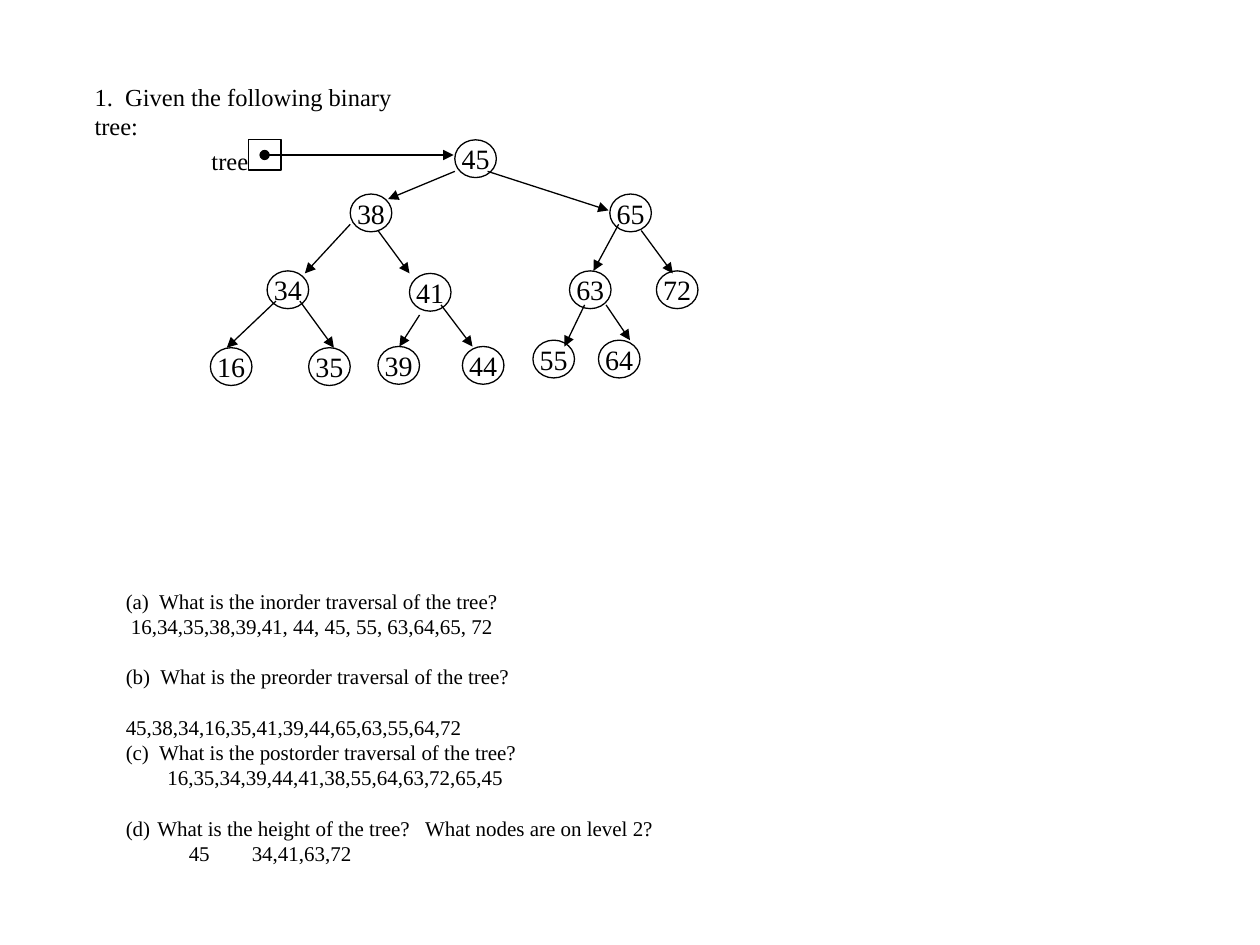
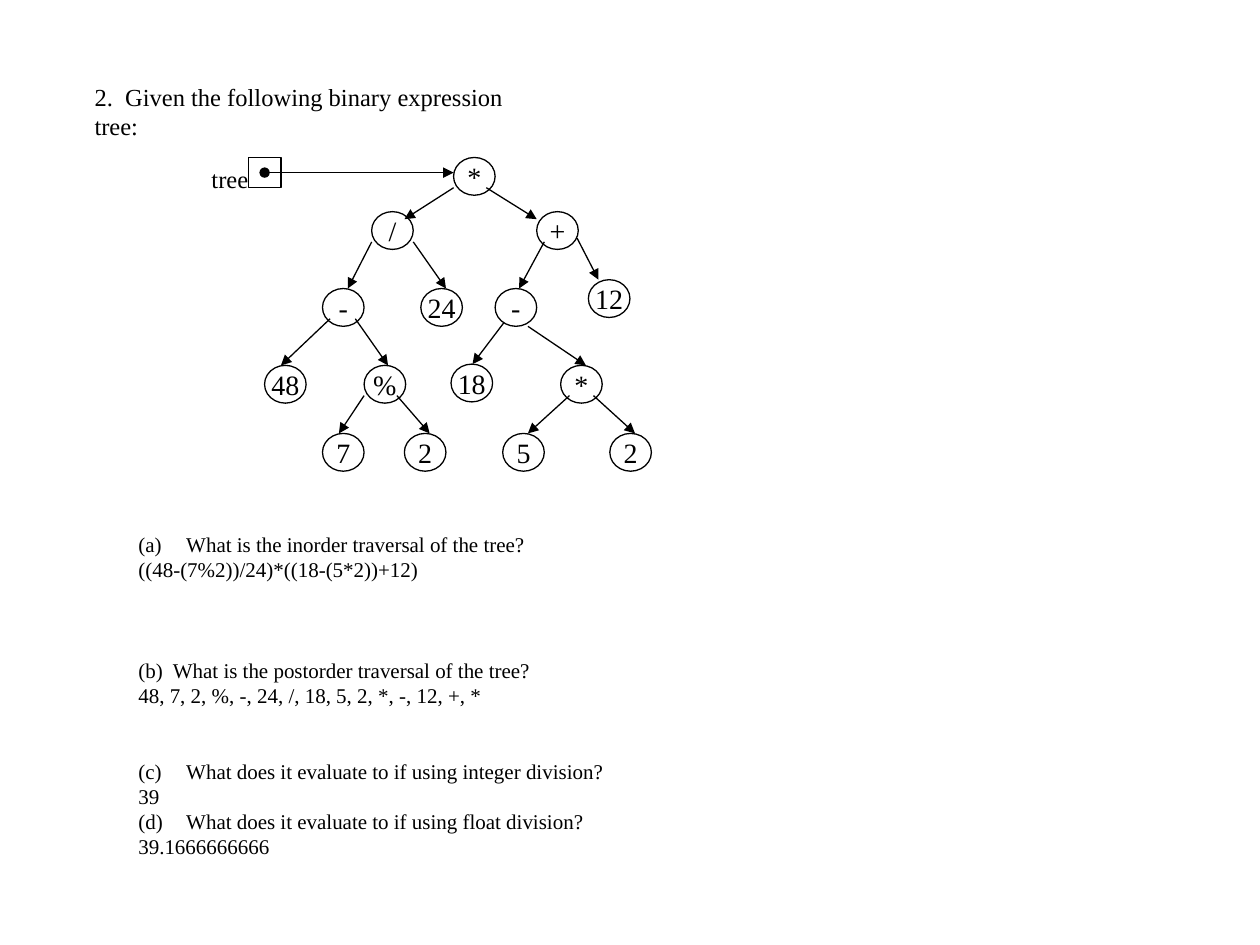
"""Build two exercise slides about traversing binary trees."""
from lxml import etree
from pptx import Presentation
from pptx import util as u
from pptx.dml import color
from pptx.enum import shapes, text
from pptx.oxml import ns

COLORS = {"ink": "000000", "paper": "FFFFFF"}
FONT = "Times New Roman"
LINE_FACTOR = 1.2
NODE_WIDTH, NODE_HEIGHT = 0.33, 0.3


def write(paragraph, content, size=12, align=text.PP_ALIGN.LEFT, gap=0, left=0, hanging=0,
          start=None, tabs=()):
    run = paragraph.add_run()
    run.text = content
    run.font.name = FONT
    run.font.size = u.Pt(size)
    run.font.color.rgb = color.RGBColor.from_string(COLORS["ink"])
    paragraph.alignment = align
    paragraph.line_spacing = u.Pt(size * LINE_FACTOR)
    paragraph.space_before = u.Pt(gap * size * LINE_FACTOR)
    properties = paragraph._p.get_or_add_pPr()
    properties.set("marL", str(u.Inches(left + hanging)))
    properties.set("indent", str(u.Inches(-hanging)))
    if start:
        bullet = etree.SubElement(properties, ns.qn("a:buAutoNum"), type="alphaLcParenBoth")
        if start > 1:
            bullet.set("startAt", str(start))
    if tabs:
        stops = etree.SubElement(properties, ns.qn("a:tabLst"))
        for position in tabs:
            etree.SubElement(stops, ns.qn("a:tab"), pos=str(u.Inches(position)), algn="l")


def add_arrow(group, start, end, head=None):
    arrow = group.shapes.add_connector(
        shapes.MSO_CONNECTOR.STRAIGHT, *[u.Inches(value) for value in (*start, *end)])
    arrow.line.color.rgb = color.RGBColor.from_string(COLORS["ink"])
    arrow.line.width = u.Pt(0.75)
    line = arrow.line._get_or_add_ln()
    if head:
        etree.SubElement(line, ns.qn("a:headEnd"), type=head)
    etree.SubElement(line, ns.qn("a:tailEnd"), type="triangle")
    etree.SubElement(arrow._element.spPr, ns.qn("a:effectLst"))


exercises = [
    {
        "title": "1.  Given the following binary tree:",
        "title_width": 2.85,
        "tree_top": 1.11,
        "nodes": [
            ("45", 3.61, 1.11), ("38", 2.78, 1.54), ("65", 4.84, 1.54),
            ("34", 2.12, 2.15), ("41", 3.25, 2.17), ("63", 4.52, 2.15), ("72", 5.21, 2.15),
            ("16", 1.67, 2.76), ("35", 2.45, 2.76), ("39", 3, 2.75), ("44", 3.67, 2.75),
            ("55", 4.23, 2.7), ("64", 4.75, 2.7),
        ],
        "edges": [
            ((3.61, 1.36), (3.08, 1.58)), ((3.87, 1.36), (4.83, 1.67)),
            ((2.78, 1.78), (2.42, 2.17)), ((3, 1.83), (3.25, 2.17)),
            ((4.91, 1.78), (4.71, 2.15)), ((5.09, 1.83), (5.34, 2.17)),
            ((2.19, 2.39), (1.8, 2.76)), ((2.38, 2.39), (2.65, 2.76)),
            ((3.33, 2.5), (3.17, 2.75)), ((3.5, 2.42), (3.75, 2.75)),
            ((4.64, 2.42), (4.48, 2.75)), ((4.81, 2.42), (5, 2.7)),
        ],
        "questions_box": (0.9, 4.62, 4.6, 2.32),
        "questions": [
            ("(a)  What is the inorder traversal of the tree?", {}),
            ("16,34,35,38,39,41, 44, 45, 55, 63,64,65, 72", {"left": 0.04}),
            ("(b)  What is the preorder traversal of the tree?", {"gap": 1}),
            ("45,38,34,16,35,41,39,44,65,63,55,64,72", {"gap": 1}),
            ("(c)  What is the postorder traversal of the tree?", {}),
            ("16,35,34,39,44,41,38,55,64,63,72,65,45", {"left": 0.33}),
            ("What is the height of the tree?   What nodes are on level 2?",
             {"gap": 1, "hanging": 0.25, "start": 4}),
            ("\t45\t34,41,63,72", {"tabs": (1, 3)}),
        ],
    },
    {
        "title": "2.  Given the following binary expression tree:",
        "title_width": 3.7,
        "tree_top": 1.25,
        "nodes": [
            ("*", 3.6, 1.25), ("/", 2.95, 1.68), ("+", 4.26, 1.68),
            ("-", 2.56, 2.29), ("24", 3.34, 2.29), ("-", 3.93, 2.29), ("12", 4.67, 2.22),
            ("48", 2.1, 2.9), ("%", 2.89, 2.9), ("18", 3.58, 2.89), ("*", 4.45, 2.9),
            ("7", 2.56, 3.44), ("2", 3.21, 3.44), ("5", 3.99, 3.44), ("2", 4.84, 3.44),
        ],
        "edges": [
            ((3.6, 1.49), (3.21, 1.74)), ((3.86, 1.49), (4.26, 1.74)),
            ((2.95, 1.92), (2.76, 2.29)), ((3.28, 1.92), (3.54, 2.29)),
            ((4.32, 1.92), (4.12, 2.29)), ((4.58, 1.89), (4.75, 2.22)),
            ((2.62, 2.53), (2.23, 2.9)), ((2.82, 2.53), (3.08, 2.9)),
            ((4, 2.56), (3.75, 2.89)), ((4.19, 2.59), (4.65, 2.9)),
            ((2.89, 3.14), (2.69, 3.44)), ((3.15, 3.14), (3.41, 3.44)),
            ((4.52, 3.14), (4.19, 3.44)), ((4.71, 3.14), (5.04, 3.44)),
        ],
        "questions_box": (1, 4.17, 4.2, 3.13),
        "questions": [
            ("What is the inorder traversal of the tree?", {"hanging": 0.38, "start": 1}),
            ("((48-(7%2))/24)*((18-(5*2))+12)", {}),
            ("(b)  What is the postorder traversal of the tree?", {"gap": 3}),
            ("48, 7, 2, %, -, 24, /, 18, 5, 2, *, -, 12, +, *", {}),
            ("What does it evaluate to if using integer division?",
             {"gap": 2, "hanging": 0.38, "start": 3}),
            ("39", {}),
            ("What does it evaluate to if using float division?", {"hanging": 0.38, "start": 4}),
            ("39.1666666666", {}),
        ],
    },
]

presentation = Presentation()
presentation.slide_width, presentation.slide_height = u.Inches(10), u.Inches(7.5)
title_only = presentation.slide_layouts[5]

for exercise in exercises:
    slide = presentation.slides.add_slide(title_only)
    slide.background.fill.solid()
    slide.background.fill.fore_color.rgb = color.RGBColor.from_string(COLORS["paper"])

    title = slide.shapes.title
    title.left, title.top = u.Inches(0.65), u.Inches(0.6)
    title.width, title.height = u.Inches(exercise["title_width"]), u.Inches(0.57)
    title.text_frame.word_wrap = True
    title.text_frame.auto_size = text.MSO_AUTO_SIZE.NONE
    title.text_frame.vertical_anchor = text.MSO_ANCHOR.TOP
    write(title.text_frame.paragraphs[0], exercise["title"], size=14)

    questions = slide.shapes.add_textbox(*[u.Inches(value) for value in exercise["questions_box"]])
    questions.text_frame.word_wrap = True
    for index, (content, layout) in enumerate(exercise["questions"]):
        frame = questions.text_frame
        paragraph = frame.add_paragraph() if index else frame.paragraphs[0]
        write(paragraph, content, **layout)

    tree = slide.shapes.add_group_shape()
    top = exercise["tree_top"]
    outlines = [(shapes.MSO_SHAPE.OVAL, label, left, node_top, NODE_WIDTH, NODE_HEIGHT)
                for label, left, node_top in exercise["nodes"]]
    outlines.append((shapes.MSO_SHAPE.RECTANGLE, None, 1.97, top, 0.26, 0.24))
    for kind, label, *box in outlines:
        shape = tree.shapes.add_shape(kind, *[u.Inches(value) for value in box])
        shape.shadow.inherit = False
        shape.fill.background()
        shape.line.color.rgb = color.RGBColor.from_string(COLORS["ink"])
        shape.line.width = u.Pt(0.75)
        if label:
            frame = shape.text_frame
            frame.word_wrap = False
            frame.vertical_anchor = text.MSO_ANCHOR.MIDDLE
            frame.margin_left = frame.margin_right = frame.margin_top = frame.margin_bottom = 0
            write(frame.paragraphs[0], label, size=16, align=text.PP_ALIGN.CENTER)

    for start, end in exercise["edges"]:
        add_arrow(tree, start, end)
    add_arrow(tree, (2.1, top + 0.12), (3.6, top + 0.12), head="oval")

    pointer_name = tree.shapes.add_textbox(
        u.Inches(1.58), u.Inches(top), u.Inches(0.49), u.Inches(0.33))
    pointer_name.text_frame.word_wrap = False
    write(pointer_name.text_frame.paragraphs[0], "tree", size=14)

presentation.save("out.pptx")
